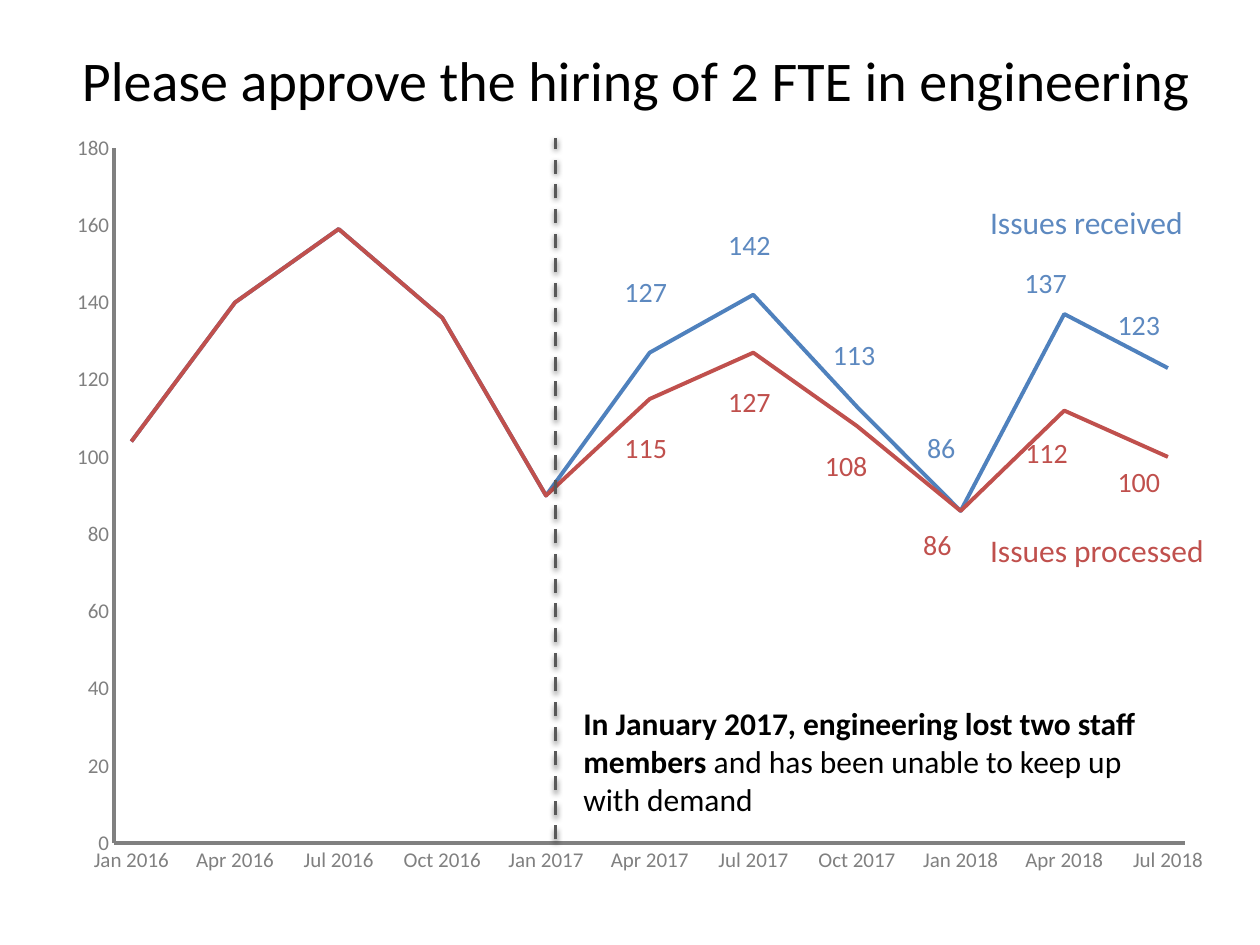
"""Build the hiring request slide with its chart of issues received and processed."""
from lxml import etree
from pptx import Presentation
from pptx.chart.data import CategoryChartData
from pptx.dml.color import RGBColor
from pptx.enum.chart import XL_CHART_TYPE, XL_LEGEND_POSITION, XL_MARKER_STYLE, XL_TICK_MARK
from pptx.enum.dml import MSO_LINE
from pptx.enum.shapes import MSO_CONNECTOR
from pptx.enum.text import MSO_ANCHOR, MSO_AUTO_SIZE, PP_ALIGN
from pptx.oxml import parse_xml
from pptx.oxml.ns import nsdecls, qn
from pptx.util import Cm, Pt

LINE_CHART = XL_CHART_TYPE.LINE
NO_MARKER = XL_MARKER_STYLE.NONE
NO_TICK = XL_TICK_MARK.NONE
DASH = MSO_LINE.DASH
STRAIGHT = MSO_CONNECTOR.STRAIGHT
MIDDLE = MSO_ANCHOR.MIDDLE
CENTER, LEFT = PP_ALIGN.CENTER, PP_ALIGN.LEFT
GROW, FIXED = MSO_AUTO_SIZE.SHAPE_TO_FIT_TEXT, MSO_AUTO_SIZE.NONE

FONT = "Calibri"
BLACK, GRAY, DARK_GRAY = "000000", "808080", "595959"
TITLE = "Please approve the hiring of 2 FTE in engineering"
NOTE = [
    ("In January 2017, engineering lost two staff members ", True),
    ("and has been unable to keep up with demand", False),
]
QUARTERS = [42370, 42461, 42552, 42644, 42736, 42826, 42917, 43009, 43101, 43191, 43282]
DATE_FORMAT = "[$-C09]mmm\\ yyyy;@"
FIRST_LABELLED = 5
SERIES = [
    {
        "name": "Series 1",
        "values": [104, 140, 159, 136, 90, 127, 142, 113, 86, 137, 123],
        "color": "4F81BD",
        "text_color": "5D89C0",
        "caption": ("Issues received", 19.71, 3.96, 4.45),
        "labels": [(12.34, 5.41), (14.43, 4.47), (16.54, 6.68),
                   (18.44, 8.56), (20.4, 5.23), (22.28, 6.07)],
    },
    {
        "name": "Series 2",
        "values": [104, 140, 159, 136, 90, 115, 127, 108, 86, 112, 100],
        "color": "C0504D",
        "text_color": "C0504D",
        "caption": ("Issues processed", 19.71, 10.59, 4.88),
        "labels": [(12.34, 8.56), (14.43, 7.62), (16.38, 8.92),
                   (18.36, 10.52), (20.42, 8.66), (22.28, 9.25)],
    },
]
PLOT_AREA = {"x": 0.052, "y": 0.037, "w": 0.928, "h": 0.903}


def rgb(value):
    """Turn a hex string into a colour."""
    return RGBColor.from_string(value)


def write(box, parts, size, color=BLACK, align=LEFT, wrap=False, fit=GROW):
    """Fill a box with one paragraph of (text, bold) parts."""
    frame = box.text_frame
    frame.word_wrap = wrap
    frame.auto_size = fit
    para = frame.paragraphs[0]
    para.alignment = align
    for text, bold in parts:
        span = para.add_run()
        span.text = text
        span.font.name = FONT
        span.font.size = Pt(size)
        span.font.bold = bold
        span.font.color.rgb = rgb(color)


def add_text(page, place, parts, size, **style):
    """Add a text box at a place given in centimetres."""
    box = page.shapes.add_textbox(*map(Cm, place))
    write(box, parts, size, **style)


def style_axis(axis):
    """Give an axis a gray line and gray labels without ticks or gridlines."""
    axis.has_major_gridlines = False
    axis.major_tick_mark = NO_TICK
    axis.minor_tick_mark = NO_TICK
    axis.format.line.color.rgb = rgb(GRAY)
    axis.format.line.width = Pt(2)
    font = axis.tick_labels.font
    font.name = FONT
    font.size = Pt(12)
    font.color.rgb = rgb(GRAY)


def set_plot_area(chart):
    """Fix the inner plot area as fractions of the chart."""
    plot_area = chart.plots[0]._element.getparent()
    for old in plot_area.findall(qn("c:layout")):
        plot_area.remove(old)
    layout = parse_xml(f"<c:layout {nsdecls('c')}><c:manualLayout/></c:layout>")
    settings = {"layoutTarget": "inner", "xMode": "edge", "yMode": "edge", **PLOT_AREA}
    for name, value in settings.items():
        etree.SubElement(layout[0], qn(f"c:{name}"), val=str(value))
    plot_area.insert(0, layout)


def add_issue_chart(page):
    """Add the line chart of both series."""
    data = CategoryChartData()
    data.categories = QUARTERS
    data.categories.number_format = DATE_FORMAT
    for series in SERIES:
        data.add_series(series["name"], series["values"])
    place = map(Cm, (1.09, 2.41, 23.27, 15.52))
    chart = page.shapes.add_chart(LINE_CHART, *place, data).chart
    chart.has_legend = False
    chart.has_title = False
    chart.font.name = FONT
    chart.font.size = Pt(10)
    chart.plots[0].vary_by_categories = False
    for line, series in zip(chart.series, SERIES):
        line.smooth = False
        line.marker.style = NO_MARKER
        line.format.line.color.rgb = rgb(series["color"])
        line.format.line.width = Pt(2.25)
    style_axis(chart.category_axis)
    style_axis(chart.value_axis)
    labels = chart.category_axis.tick_labels
    labels.number_format = DATE_FORMAT
    labels.number_format_is_linked = False
    chart.value_axis.minimum_scale = 0
    chart.value_axis.maximum_scale = 180
    chart.value_axis.major_unit = 20
    set_plot_area(chart)


def add_divider(page):
    """Add the dashed line at January 2017 with its soft shadow."""
    divider = page.shapes.add_connector(STRAIGHT, Cm(11.2), Cm(16.92), Cm(11.2), Cm(2.79))
    divider.line.color.rgb = rgb(DARK_GRAY)
    divider.line.width = Pt(2)
    divider.line.dash_style = DASH
    divider._element.spPr.append(parse_xml(
        f"<a:effectLst {nsdecls('a')}>"
        '<a:outerShdw blurRad="40000" dist="20000" dir="5400000" rotWithShape="0">'
        f'<a:srgbClr val="{BLACK}"><a:alpha val="38000"/></a:srgbClr>'
        "</a:outerShdw></a:effectLst>"
    ))


def add_title(page):
    """Place the title above the chart."""
    title = page.shapes.title
    title.left, title.top, title.width, title.height = map(Cm, (1.3, 0, 23.06, 3.18))
    title.text_frame.vertical_anchor = MIDDLE
    write(title, [(TITLE, False)], 32, align=CENTER, wrap=True, fit=FIXED)


def main():
    """Build and save the deck."""
    deck = Presentation()
    deck.slide_width, deck.slide_height = Cm(25.4), Cm(19.05)
    page = deck.slides.add_slide(deck.slide_layouts[5])
    add_issue_chart(page)
    add_title(page)
    add_divider(page)
    for series in SERIES:
        color = series["text_color"]
        caption, left, top, width = series["caption"]
        add_text(page, (left, top, width, 1.02), [(caption, False)], 18, color=color)
        for value, (left, top) in zip(series["values"][FIRST_LABELLED:], series["labels"]):
            width = 1.37 if value >= 100 else 1.09
            add_text(page, (left, top, width, 0.94), [(str(value), False)], 16, color=color)
    add_text(page, (11.51, 14.07, 12.14, 2.57), NOTE, 18, wrap=True)
    deck.save("out.pptx")


main()
